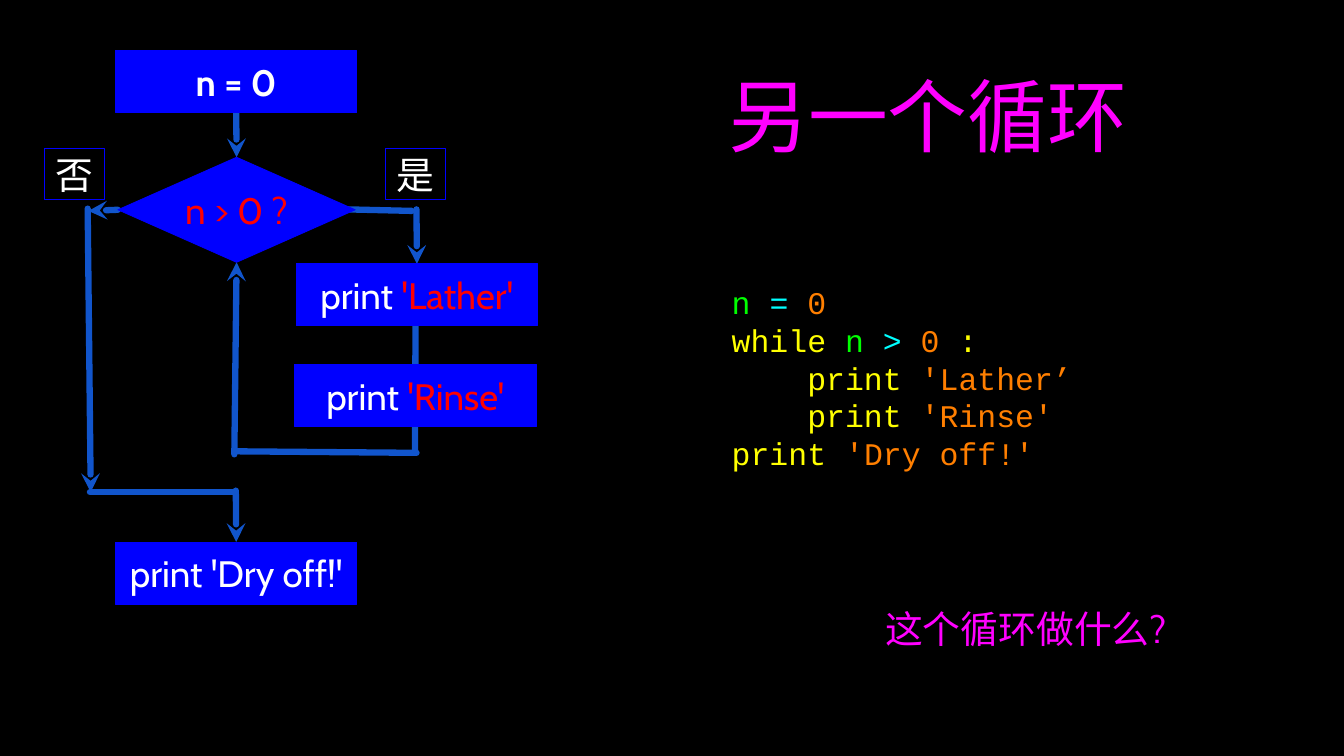
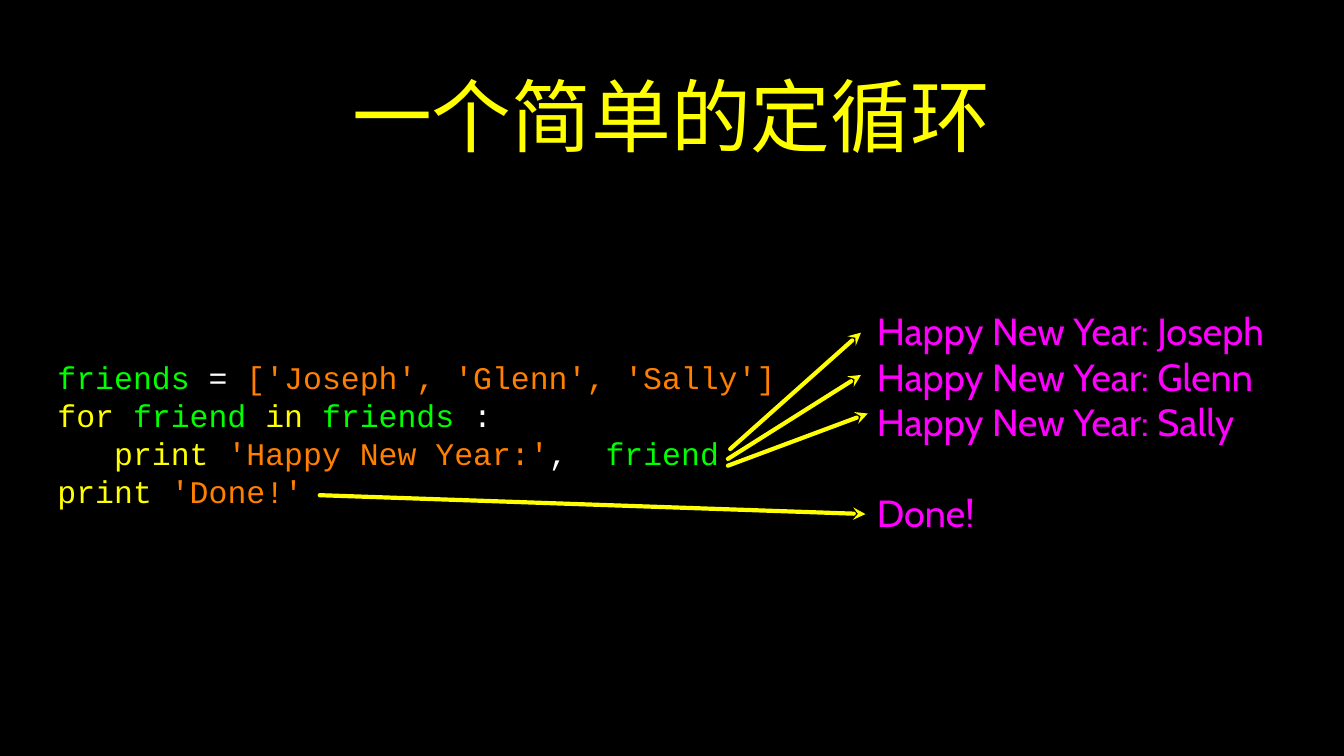
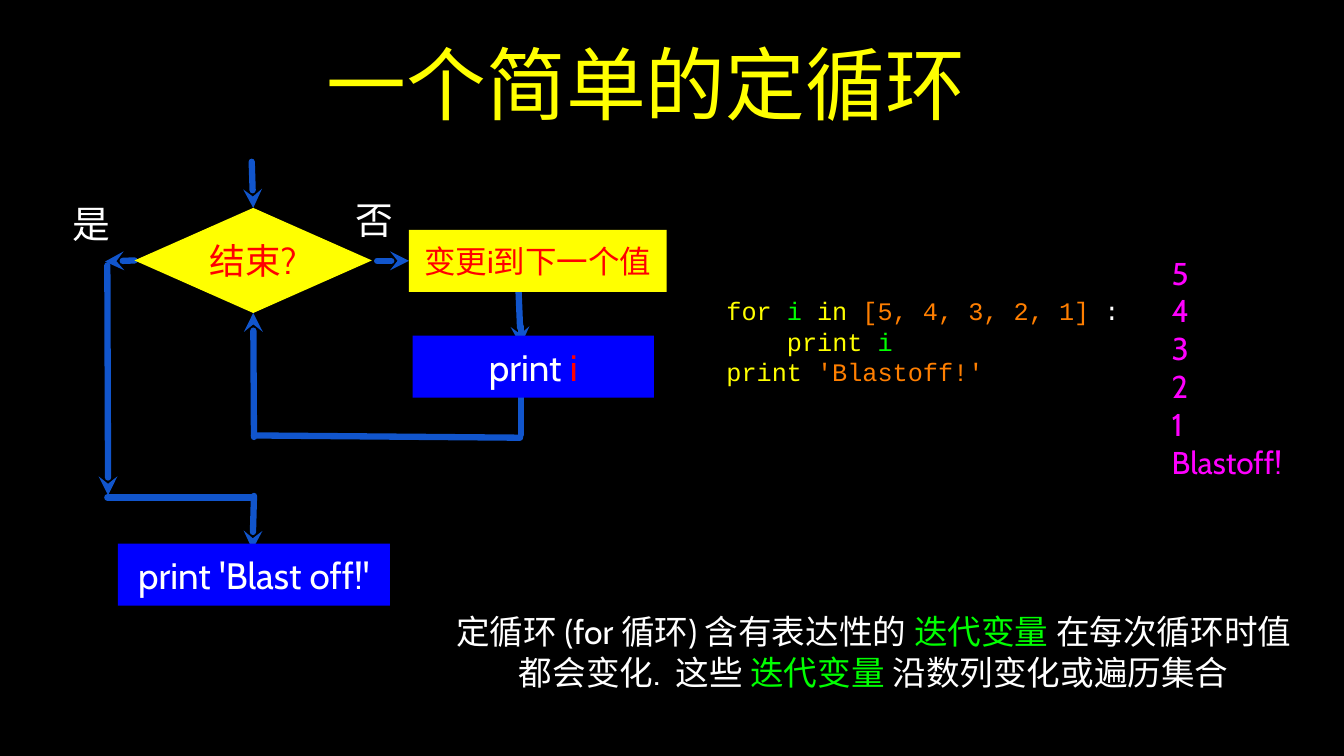
from lxml.etree import SubElement
from pptx import Presentation
from pptx.dml.color import RGBColor
from pptx.enum.shapes import MSO_CONNECTOR, MSO_SHAPE as SHAPE
from pptx.enum.text import MSO_ANCHOR, PP_ALIGN as ALIGN
from pptx.oxml.ns import qn
from pptx.util import Pt

PX = 9144  # EMU per px, 100 px to the inch
WIDTH, HEIGHT = 1778, 1000

BLACK = RGBColor(0x00, 0x00, 0x00)
WHITE = RGBColor(0xFF, 0xFF, 0xFF)
BLUE = RGBColor(0x00, 0x00, 0xFF)
STEEL = RGBColor(0x11, 0x55, 0xCC)
RED = RGBColor(0xFF, 0x00, 0x00)
GREEN = RGBColor(0x00, 0xFF, 0x00)
CYAN = RGBColor(0x00, 0xFF, 0xFF)
YELLOW = RGBColor(0xFF, 0xFF, 0x00)
ORANGE = RGBColor(0xFF, 0x7F, 0x00)
MAGENTA = RGBColor(0xFF, 0x00, 0xFF)

BODY, CODE = "Cabin", "Courier New"
STEP_W, STEP_H = 319, 82
DIAMOND_SIZE = (314, 139)
LABEL_SIZE = (79, 68)
TOP, LEFT, BOTTOM = 0, 1, 2  # connection sites


def emu(*lengths):
    return [length * PX for length in lengths]


# Shared parts
def write(shape, lines, size=36, font=BODY, align=ALIGN.LEFT, bold=None,
          inset=0, indents=None, gaps=None):
    """Fill a shape with lines of (text, colour) runs.

    indents maps a line to its indent in code characters,
    gaps maps a line to the points of space before it.
    """
    frame = shape.text_frame
    frame.word_wrap = True
    frame.vertical_anchor = MSO_ANCHOR.MIDDLE
    frame.margin_left = frame.margin_right = inset * PX
    frame.margin_top = frame.margin_bottom = inset * PX
    for number, line in enumerate(lines):
        paragraph = frame.add_paragraph() if number else frame.paragraphs[0]
        paragraph.alignment = align
        if number in (indents or {}):
            margin = Pt(indents[number] * size * 0.6)
            paragraph._p.get_or_add_pPr().set("marL", str(margin))
        if number in (gaps or {}):
            paragraph.space_before = Pt(gaps[number])
        for text, colour in line:
            run = paragraph.add_run()
            run.text = text
            run.font.name, run.font.size = font, Pt(size)
            run.font.bold = bold
            run.font.color.rgb = colour
            SubElement(run._r.rPr, qn("a:ea"), typeface=font)
    return shape


def text_block(slide, box, lines, **style):
    return write(slide.shapes.add_textbox(*emu(*box)), lines, **style)


def title(slide, box, text, colour):
    text_block(slide, box, [[(text, colour)]], size=76, align=ALIGN.CENTER, inset=4)


def node(slide, kind, box, runs, fill=None, border=None, size=35, bold=None):
    shape = slide.shapes.add_shape(kind, *emu(*box))
    shape.shadow.inherit = False
    if fill is None:
        shape.fill.background()
    else:
        shape.fill.solid()
        shape.fill.fore_color.rgb = fill
    if border is None:
        shape.line.fill.background()
    else:
        shape.line.color.rgb = border
        shape.line.width = Pt(0.75)
    return write(shape, [runs], size=size, align=ALIGN.CENTER, bold=bold)


def wire(slide, ends, arrow=True, colour=STEEL, weight=6):
    link = slide.shapes.add_connector(MSO_CONNECTOR.STRAIGHT, *emu(*ends))
    link.line.color.rgb = colour
    link.line.width = Pt(weight)
    stroke = link.line._get_or_add_ln()
    stroke.set("cap", "rnd")
    SubElement(stroke, qn("a:round"))
    if arrow:
        SubElement(stroke, qn("a:tailEnd"), type="stealth")
    SubElement(link._element.spPr, qn("a:effectLst"))
    return link


def shifter(left, top):
    """Give the functions that move a box or a line's ends to the region."""
    def place(x, y, *size):
        return (left + x, top + y, *size)

    def route(x1, y1, x2, y2):
        return (left + x1, top + y1, left + x2, top + y2)
    return place, route


# Slide 1: indefinite loop
def lather_flow(slide, left, top):
    place, route = shifter(left, top)

    # Paths, behind the steps
    entry = wire(slide, route(260, 87, 262, 149))
    back = wire(slide, route(260, 541, 262, 287))
    wire(slide, route(410, 217, 495, 219), arrow=False)
    into_body = wire(slide, route(501, 217, 499, 288))
    wire(slide, route(500, 308, 499, 537), arrow=False)
    wire(slide, route(501, 539, 262, 537), arrow=False)
    leave = wire(slide, route(110, 219, 67, 219))
    wire(slide, route(66, 216, 70, 591))
    wire(slide, route(69, 591, 260, 591), arrow=False)
    finish = wire(slide, route(262, 589, 261, 660))

    # Test and its answers
    test = node(slide, SHAPE.DIAMOND, place(106, 148, *DIAMOND_SIZE),
                [("n > 0 ?", RED)], fill=BLUE, border=BLUE)
    for x, answer in ((9, "否"), (460, "是")):
        node(slide, SHAPE.RECTANGLE, place(x, 136, *LABEL_SIZE),
             [(answer, WHITE)], border=BLUE, size=36)

    # Steps
    def step(x, y, runs, bold=None):
        return node(slide, SHAPE.RECTANGLE, place(x, y, STEP_W, STEP_H), runs,
                    fill=BLUE, border=BLUE, bold=bold)

    start = step(103, 7, [("n = 0", WHITE)], bold=True)
    lather = step(342, 289, [("print ", WHITE), ("'Lather'", RED)])
    step(340, 422, [("print ", WHITE), ("'Rinse'", RED)])
    dry_off = step(103, 657, [("print 'Dry off!'", WHITE)])

    entry.begin_connect(start, BOTTOM)
    entry.end_connect(test, TOP)
    back.end_connect(test, BOTTOM)
    into_body.end_connect(lather, TOP)
    leave.begin_connect(test, LEFT)
    finish.end_connect(dry_off, TOP)


def another_loop(slide):
    title(slide, (867, 26, 721, 251), "另一个循环", MAGENTA)
    text_block(slide, (968, 348, 512, 303), [
        [("n ", GREEN), ("= ", CYAN), ("0", ORANGE)],
        [("while ", YELLOW), ("n ", GREEN), ("> ", CYAN), ("0", ORANGE), (" :", YELLOW)],
        [("print ", YELLOW), ("'Lather’", ORANGE)],
        [("print ", YELLOW), ("'Rinse'", ORANGE)],
        [("print ", YELLOW), ("'Dry off!'", ORANGE)],
    ], size=30, font=CODE, indents={2: 4, 3: 4})
    lather_flow(slide, 50, 60)
    text_block(slide, (1101, 797, 512, 68), [[("这个循环做什么?", MAGENTA)]],
               align=ALIGN.CENTER)


# Slide 2: definite loop over friends
def greeting_arrows(slide, left, top):
    _, route = shifter(left, top)
    for ends in ((543, 167, 719, 56), (3, 215, 725, 240),
                 (546, 154, 719, 0), (543, 176, 728, 107)):
        wire(slide, route(*ends), colour=YELLOW, weight=4)


def friends_loop(slide):
    title(slide, (126, 26, 1524, 251), "一个简单的定循环", YELLOW)
    text_block(slide, (76, 453, 1008, 242), [
        [("friends", GREEN), (" = ", WHITE), ("['Joseph', 'Glenn', 'Sally']", ORANGE)],
        [("for ", YELLOW), ("friend ", GREEN), ("in ", YELLOW), ("friends ", GREEN),
         (":", WHITE)],
        [("print ", YELLOW), ("'Happy New Year:'", ORANGE), (",  ", WHITE),
         ("friend", GREEN)],
        [("print ", YELLOW), ("'Done!'", ORANGE)],
    ], size=30, font=CODE, indents={2: 3})
    greetings = [f"Happy New Year: {name}" for name in ("Joseph", "Glenn", "Sally")]
    text_block(slide, (1160, 388, 596, 339),
               [[(line, MAGENTA)] for line in greetings + ["Done!"]], gaps={3: 43})
    greeting_arrows(slide, 420, 440)


# Slide 3: definite loop as a flow
def countdown_flow(slide, left, top):
    place, route = shifter(left, top)

    # Paths, behind the steps
    entry = wire(slide, route(253, 4, 254, 66))
    back = wire(slide, route(256, 368, 255, 204))
    wire(slide, route(606, 175, 609, 247))
    wire(slide, route(609, 222, 609, 365), arrow=False)
    wire(slide, route(608, 369, 256, 366), arrow=False)
    leave = wire(slide, route(102, 135, 59, 136))
    wire(slide, route(62, 141, 63, 445))
    wire(slide, route(62, 448, 254, 448), arrow=False)
    wire(slide, route(256, 446, 254, 517))
    into_body = wire(slide, route(419, 135, 462, 136))

    # Test and its answers
    test = node(slide, SHAPE.DIAMOND, place(98, 65, *DIAMOND_SIZE),
                [("结束?", RED)], fill=YELLOW, size=34)
    for x, y, answer in ((1, 52, "是"), (376, 46, "否")):
        text_block(slide, place(x, y, *LABEL_SIZE), [[(answer, WHITE)]],
                   align=ALIGN.CENTER)

    # Steps
    def step(x, y, width, runs, fill=BLUE, size=35):
        return node(slide, SHAPE.RECTANGLE, place(x, y, width, STEP_H), runs,
                    fill=fill, size=size)

    step(76, 509, 360, [("print 'Blast off!'", WHITE)])
    step(466, 234, STEP_W, [("print ", WHITE), ("i", RED)])
    advance = step(461, 94, 341, [("变更i到下一个值", RED)], fill=YELLOW, size=30)

    entry.end_connect(test, TOP)
    back.end_connect(test, BOTTOM)
    leave.begin_connect(test, LEFT)
    into_body.end_connect(advance, LEFT)


def countdown_loop(slide):
    title(slide, (331, 0, 1047, 219), "一个简单的定循环", YELLOW)
    text_block(slide, (961, 360, 558, 182), [
        [("for ", YELLOW), ("i ", GREEN), ("in ", YELLOW), ("[5, 4, 3, 2, 1] ", ORANGE),
         (":", WHITE)],
        [("print ", YELLOW), ("i", GREEN)],
        [("print ", YELLOW), ("'Blastoff!'", ORANGE)],
    ], size=24, font=CODE, indents={1: 4})
    text_block(slide, (1550, 309, 182, 353),
               [[(line, MAGENTA)] for line in (*"54321", "Blastoff!")], size=30)
    countdown_flow(slide, 80, 210)
    text_block(slide, (602, 771, 1108, 182), [[
        ("定循环 (for 循环) 含有表达性的 ", WHITE), ("迭代变量 ", GREEN),
        ("在每次循环时值都会变化.  这些 ", WHITE), ("迭代变量 ", GREEN),
        ("沿数列变化或遍历集合", WHITE),
    ]], size=32, align=ALIGN.CENTER)


def main():
    deck = Presentation()
    deck.slide_width, deck.slide_height = emu(WIDTH, HEIGHT)
    backdrop = deck.slide_master.background.fill
    backdrop.solid()
    backdrop.fore_color.rgb = BLACK
    blank = deck.slide_layouts[6]
    for build in (another_loop, friends_loop, countdown_loop):
        build(deck.slides.add_slide(blank))
    deck.save("out.pptx")


if __name__ == "__main__":
    main()
